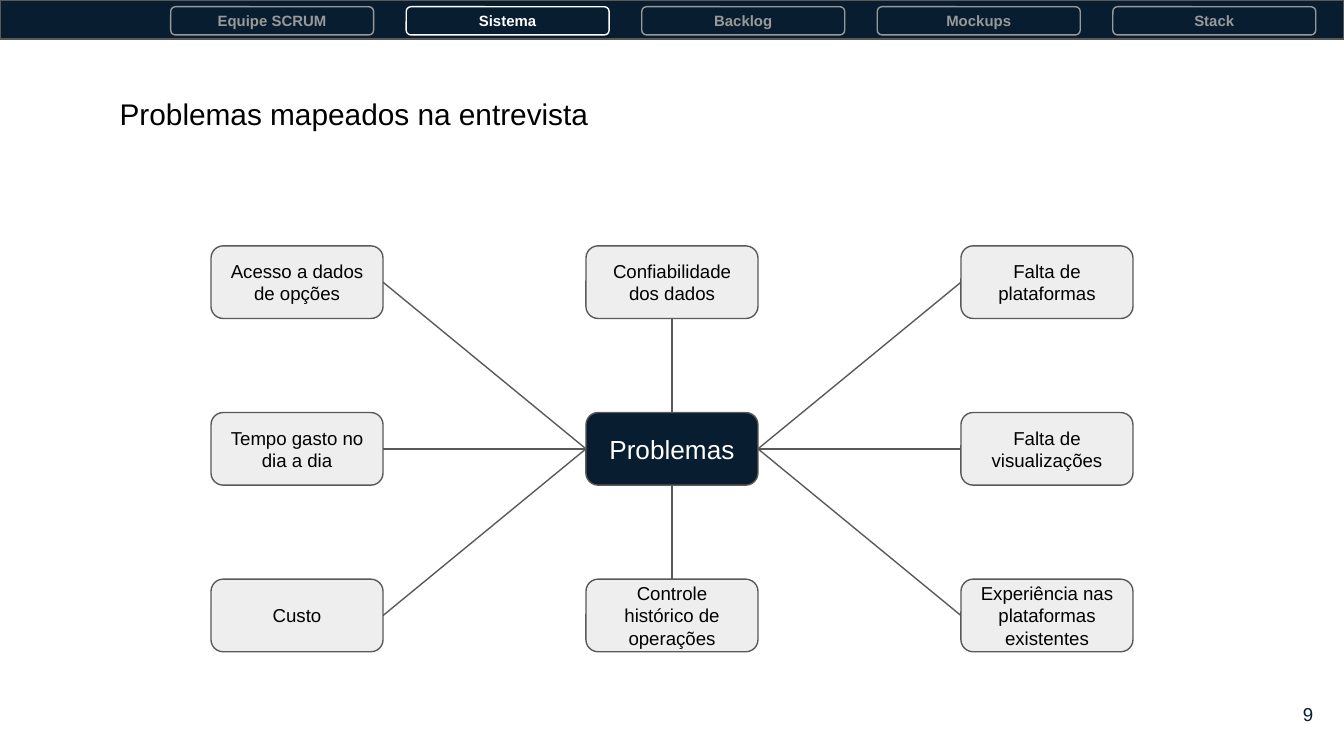
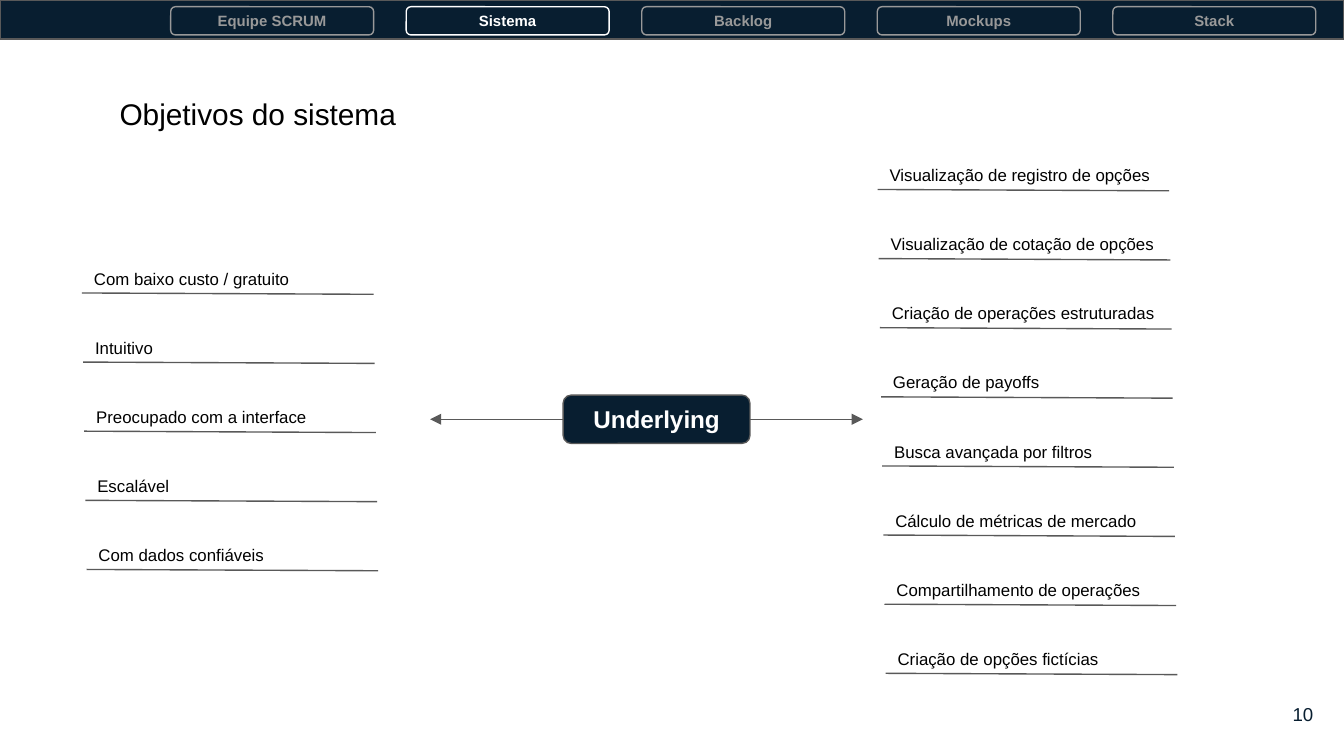
from pptx import Presentation
from pptx.dml.color import RGBColor
from pptx.enum.shapes import MSO_CONNECTOR, MSO_SHAPE
from pptx.enum.text import MSO_ANCHOR, MSO_AUTO_SIZE, PP_ALIGN
from pptx.oxml.ns import qn
from pptx.util import Inches, Pt
from lxml.etree import SubElement

# Shared look
FONT = "Arial"
NAVY, GREY, PALE = "081E30", "595959", "EEEEEE"
DIM, WHITE, BLACK = "999999", "FFFFFF", "000000"
TABS = ["Equipe SCRUM", "Sistema", "Backlog", "Mockups", "Stack"]

# Connection sites of a rounded box
TOP, LEFT, BOTTOM, RIGHT = range(4)

# Problem grid, row by row; None is the hub
GRID = [
    ["Acesso a dados de opções", "Confiabilidade dos dados",
     "Falta de plataformas"],
    ["Tempo gasto no dia a dia", None, "Falta de visualizações"],
    ["Custo", "Controle histórico de operações",
     "Experiência nas plataformas existentes"],
]
TRAITS = ["Com baixo custo / gratuito", "Intuitivo",
          "Preocupado com a interface", "Escalável", "Com dados confiáveis"]
TASKS = ["Visualização de registro de opções",
         "Visualização de cotação de opções",
         "Criação de operações estruturadas", "Geração de payoffs",
         "Busca avançada por filtros", "Cálculo de métricas de mercado",
         "Compartilhamento de operações", "Criação de opções fictícias"]


def color(code):
    return RGBColor.from_string(code)


def write(shape, text, size, ink, bold=False, align=PP_ALIGN.LEFT,
          anchor=MSO_ANCHOR.MIDDLE):
    frame = shape.text_frame
    frame.word_wrap = True
    frame.vertical_anchor = anchor
    frame.margin_left = frame.margin_right = Inches(0.1)
    frame.margin_top = frame.margin_bottom = Inches(0.1)
    para = frame.paragraphs[0]
    para.alignment = align
    run = para.add_run()
    run.text = text
    font = run.font
    font.name, font.size, font.bold = FONT, Pt(size), bold
    font.color.rgb = color(ink)


def add_box(slide, area, fill=None, line=GREY, kind=MSO_SHAPE.ROUNDED_RECTANGLE):
    box = slide.shapes.add_shape(kind, *map(Inches, area))
    box.shadow.inherit = False
    if fill:
        box.fill.solid()
        box.fill.fore_color.rgb = color(fill)
    else:
        box.fill.background()
    box.line.color.rgb = color(line)
    box.line.width = Pt(0.75)
    return box


def add_label(slide, area, text, size, ink, **style):
    label = slide.shapes.add_textbox(*map(Inches, area))
    write(label, text, size, ink, **style)
    return label


def add_line(slide, start, end, arrow=False):
    line = slide.shapes.add_connector(
        MSO_CONNECTOR.STRAIGHT, *map(Inches, start + end))
    line.line.color.rgb = color(GREY)
    line.line.width = Pt(0.75)
    if arrow:
        SubElement(line.line._get_or_add_ln(), qn("a:tailEnd"), type="triangle")
    SubElement(line._element.spPr, qn("a:effectLst"))
    return line


def link(slide, hub, out, box, into):
    line = add_line(slide, (0, 0), (1, 1))
    line.begin_connect(hub, out)
    line.end_connect(box, into)


def add_page(deck, title, width, number):
    """Slide with the navigation band, title and page number."""
    slide = deck.slides.add_slide(deck.slide_layouts[5])
    add_box(slide, (0, 0, 10, 0.29), NAVY, kind=MSO_SHAPE.RECTANGLE)
    for i, name in enumerate(TABS):
        ink = WHITE if name == "Sistema" else DIM
        tab = add_box(slide, (1.27 + i * 7.01 / 4, 0.05, 1.51, 0.21), line=ink)
        write(tab, name, 8, ink, bold=True, align=PP_ALIGN.CENTER)
    head = slide.shapes.title
    head.left, head.top = Inches(0.79), Inches(0.61)
    head.width, head.height = Inches(width), Inches(0.47)
    write(head, title, 16, BLACK, anchor=MSO_ANCHOR.TOP)
    add_label(slide, (9.27, 5.1, 0.6, 0.43), str(number), 10, NAVY,
              align=PP_ALIGN.RIGHT)
    return slide


def add_map(slide):
    """Hub in the middle of a three by three grid."""
    def place(row, col, text, size, fill, ink):
        area = (1.57 + col * 2.79, 1.83 + row * 1.24, 1.28, 0.54)
        box = add_box(slide, area, fill)
        write(box, text, size, ink, align=PP_ALIGN.CENTER)
        return box

    hub = place(1, 1, "Problemas", 14, NAVY, WHITE)
    for row, names in enumerate(GRID):
        for col, name in enumerate(names):
            if name is None:
                continue
            box = place(row, col, name, 10, PALE, BLACK)
            if col == 1:
                out, into = (TOP, BOTTOM) if row == 0 else (BOTTOM, TOP)
            else:
                out, into = (LEFT, RIGHT) if col == 0 else (RIGHT, LEFT)
            link(slide, hub, out, box, into)


def add_list(slide, left, top, items):
    """Underlined items that drift slightly to the right."""
    for i, item in enumerate(items):
        x, y = left + i * 0.06 / 7, top + i * 3.6 / 7
        add_line(slide, (x, y), (x + 2.17, y + 0.01))
        label = add_label(slide, (x - 0.01, y - 0.26, 2.58, 0.35), item, 9,
                          BLACK, anchor=MSO_ANCHOR.TOP)
        label.text_frame.auto_size = MSO_AUTO_SIZE.SHAPE_TO_FIT_TEXT


def main():
    deck = Presentation()
    # Widescreen, 16:9
    deck.slide_width = Inches(10)
    deck.slide_height = Inches(10 * 9 / 16)

    # Problems
    slide = add_page(deck, "Problemas mapeados na entrevista", 3.91, 9)
    add_map(slide)

    # Goals
    slide = add_page(deck, "Objetivos do sistema", 3.46, 10)
    hub = add_box(slide, (4.19, 2.94, 1.39, 0.36), NAVY)
    write(hub, "Underlying", 13, WHITE, bold=True, align=PP_ALIGN.CENTER)
    add_list(slide, 6.53, 1.41, TASKS)
    add_list(slide, 0.61, 2.18, TRAITS)
    add_line(slide, (5.58, 3.12), (6.42, 3.12), arrow=True)
    add_line(slide, (4.19, 3.12), (3.2, 3.12), arrow=True)

    deck.save("out.pptx")


if __name__ == "__main__":
    main()
